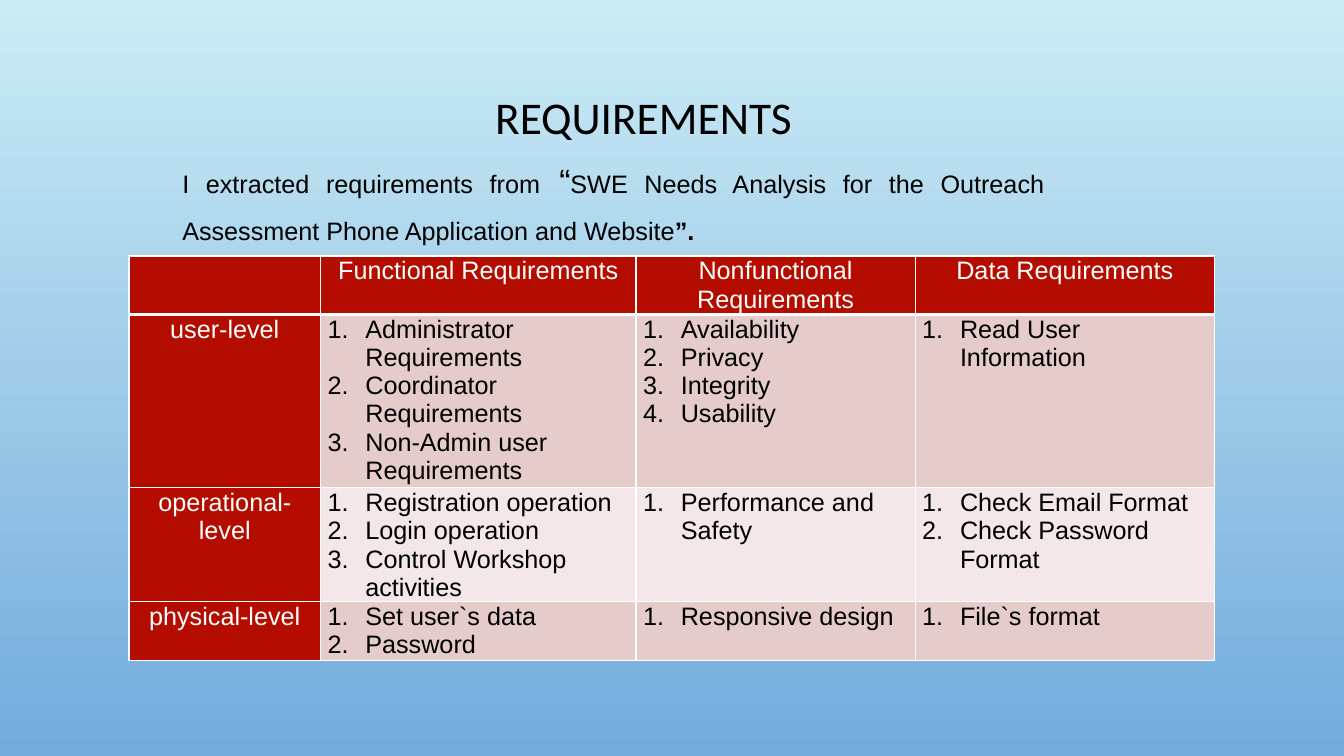
from lxml import etree
from pptx import Presentation
from pptx import util as u
from pptx.dml.color import RGBColor
from pptx.enum import text
from pptx.oxml.ns import qn

# Content
TITLE = "REQUIREMENTS"
HEADERS = ["", "Functional Requirements", "Nonfunctional\nRequirements", "Data Requirements"]
LEVELS = [
    ("user-level",
     ["Administrator Requirements", "Coordinator Requirements", "Non-Admin user Requirements"],
     ["Availability", "Privacy", "Integrity", "Usability"],
     ["Read User Information"]),
    ("operational-level",
     ["Registration operation", "Login operation", "Control Workshop activities"],
     ["Performance and Safety"],
     ["Check Email Format", "Check Password Format"]),
    ("physical-level",
     ["Set user`s data", "Password"],
     ["Responsive design"],
     ["File`s format"]),
]

# Look and layout, in points
THEME = dict(
    sky=("CBECF5", "73ABDD"), head="B50C00", bands=("E5CCCB", "F3E7E7"),
    light="FFFFFF", dark="000000", title_font="Calibri", font="Arial",
    title_size=32.4, size=18, quote_size=24)
INTRO = [
    ("I extracted requirements from", {}),
    (" “", dict(size=THEME["quote_size"])),
    ("SWE Needs Analysis for the Outreach Assessment Phone Application and Website", {}),
    ("”. ", dict(bold=True)),
]
TITLE_BOX = (51.84, 64.8, 815.76, 41.04)
INTRO_BOX = (123.12, 96.48, 630, 83.52)
TABLE_AT = (92.16, 182.88)
COLS = (136.8, 225.36, 199.44, 213.84)
ROWS = (41.76, 123.84, 81.36, 41.76)
CELL_MARGINS = (5, 0.7, 5, 0)
INDENT = 27
THIN, THICK = 1, 3
ALIGN = text.PP_ALIGN


def pts(values):
    return [u.Pt(v) for v in values]


def add_text(p, content, size=THEME["size"], font=THEME["font"], color=THEME["dark"],
             bold=False, align=None, spacing=None, numbered=False):
    """Add one formatted run to a paragraph, with optional paragraph format."""
    if numbered:
        pPr = p._p.get_or_add_pPr()
        pPr.set("marL", str(u.Pt(INDENT)))
        pPr.set("indent", str(-u.Pt(INDENT)))
        etree.SubElement(pPr, qn("a:buFont"), typeface="+mj-lt")
        etree.SubElement(pPr, qn("a:buAutoNum"), type="arabicPeriod")
    if align is not None:
        p.alignment = align
    if spacing:
        p.line_spacing = spacing
    r = p.add_run()
    r.text = content
    r.font.size, r.font.name, r.font.bold = u.Pt(size), font, bold
    r.font.color.rgb = RGBColor.from_string(color)


def set_borders(cell, top, bottom):
    tcPr = cell._tc.get_or_add_tcPr()
    sides = (("L", THIN), ("R", THIN), ("T", top), ("B", bottom))
    for i, (side, width) in enumerate(sides):
        ln = etree.Element(qn("a:ln" + side), w=str(u.Pt(width)))
        fill = etree.SubElement(ln, qn("a:solidFill"))
        etree.SubElement(fill, qn("a:srgbClr"), val=THEME["light"])
        tcPr.insert(i, ln)


def fill_cell(cell, lines, fill, top, bottom, **fmt):
    cell.margin_left, cell.margin_top, cell.margin_right, cell.margin_bottom = pts(CELL_MARGINS)
    cell.fill.solid()
    cell.fill.fore_color.rgb = RGBColor.from_string(fill)
    set_borders(cell, top, bottom)
    tf = cell.text_frame
    for i, line in enumerate(lines):
        p = tf.add_paragraph() if i else tf.paragraphs[0]
        if line:
            add_text(p, line, **fmt)


def main():
    prs = Presentation()
    prs.slide_width, prs.slide_height = u.Pt(960), u.Pt(540)
    s = prs.slides.add_slide(prs.slide_layouts[5])

    # Background
    bg = s.background.fill
    bg.gradient()
    bg.gradient_angle = 270
    for stop, color in zip(bg.gradient_stops, THEME["sky"]):
        stop.color.rgb = RGBColor.from_string(color)

    # Title
    sp = s.shapes.title
    sp.left, sp.top, sp.width, sp.height = pts(TITLE_BOX)
    tf = sp.text_frame
    tf.vertical_anchor = text.MSO_ANCHOR.MIDDLE
    add_text(tf.paragraphs[0], TITLE, size=THEME["title_size"], font=THEME["title_font"],
             align=ALIGN.CENTER, spacing=0.9)

    # Requirements table
    tbl = s.shapes.add_table(len(ROWS), len(COLS), *pts(TABLE_AT),
                             *pts((sum(COLS), sum(ROWS)))).table
    tbl.first_row = tbl.horz_banding = False
    for col, width in zip(tbl.columns, COLS):
        col.width = u.Pt(width)
    for row, height in zip(tbl.rows, ROWS):
        row.height = u.Pt(height)
    for r, row in enumerate([HEADERS, *LEVELS]):
        top = THICK if r == 1 else THIN
        bottom = THICK if r == 0 else THIN
        for c, content in enumerate(row):
            if r == 0 or c == 0:
                fill_cell(tbl.cell(r, c), content.split("\n"), THEME["head"], top, bottom,
                          color=THEME["light"], align=ALIGN.CENTER)
            else:
                fill_cell(tbl.cell(r, c), content, THEME["bands"][(r - 1) % 2], top, bottom,
                          numbered=True)

    # Introduction
    tf = s.shapes.add_textbox(*pts(INTRO_BOX)).text_frame
    tf.word_wrap = True
    for content, fmt in INTRO:
        add_text(tf.paragraphs[0], content, align=ALIGN.JUSTIFY, spacing=1.5, **fmt)

    prs.save("out.pptx")


if __name__ == "__main__":
    main()
